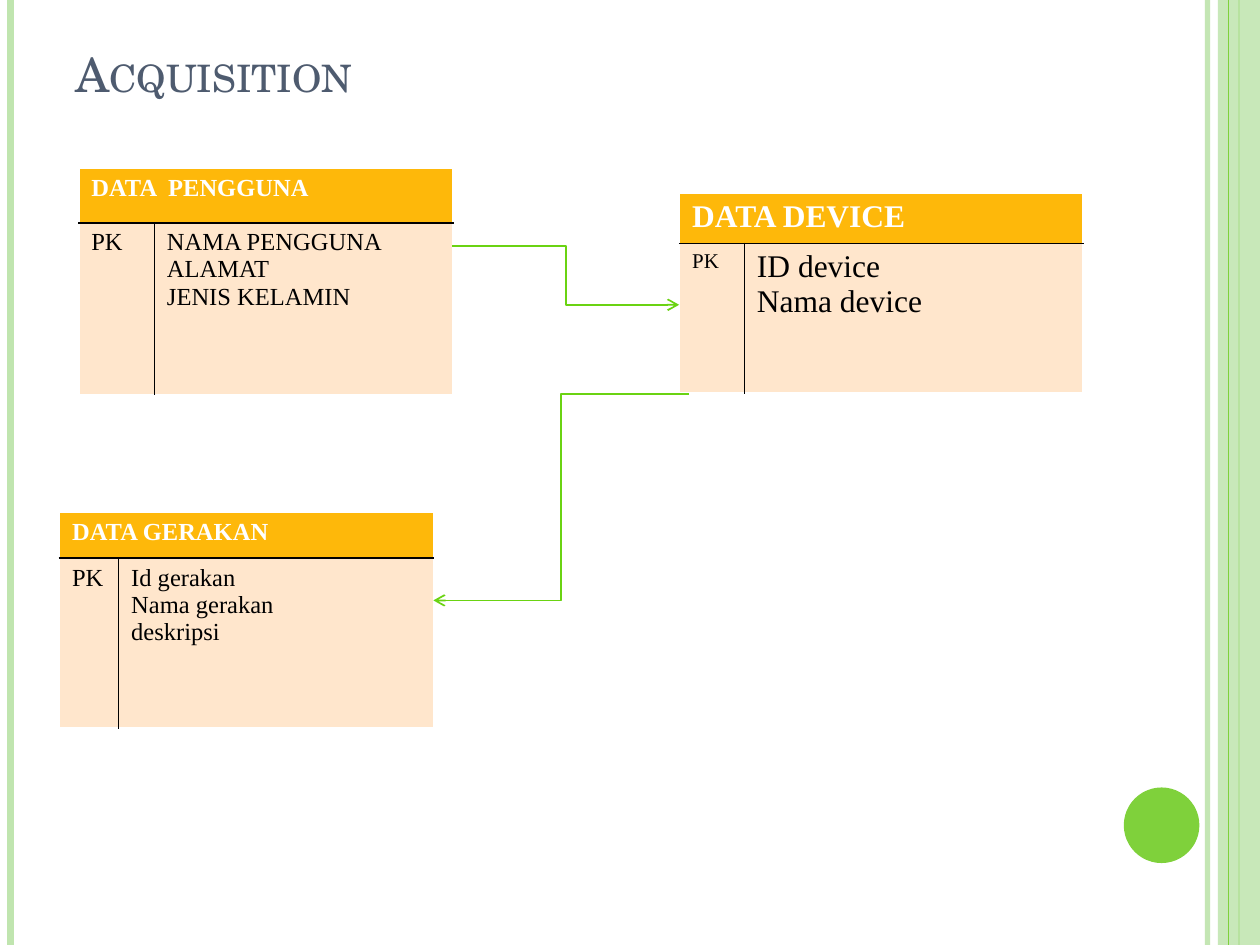
import pptx
import pptx.util
import pptx.dml.color
import pptx.enum.shapes
import pptx.enum.text
import pptx.oxml
import pptx.oxml.ns
import lxml.etree

Pt = pptx.util.Pt
RGBColor = pptx.dml.color.RGBColor
qn = pptx.oxml.ns.qn
CONNECTOR = pptx.enum.shapes.MSO_CONNECTOR
SHAPE = pptx.enum.shapes.MSO_SHAPE

WHITE = RGBColor(0xFF, 0xFF, 0xFF)
BLACK = RGBColor(0, 0, 0)
SLATE = RGBColor(0x4E, 0x5B, 0x6F)
GREEN = RGBColor(0x7F, 0xD1, 0x3B)
PALE_GREEN = RGBColor(0xC0, 0xE5, 0xAF)
ARROW_GREEN = RGBColor(0x6A, 0xD3, 0x12)
AMBER = RGBColor(0xFE, 0xB8, 0x0A)
CREAM = RGBColor(0xFF, 0xE6, 0xCC)
TITLE_FONT = "TeX Gyre Schola"
TABLE_FONT = "Times New Roman"
WIDTH, HEIGHT = 720, 540


def set_opacity(element, percent):
    color = next(element.iter(qn("a:srgbClr")))
    alpha = lxml.etree.SubElement(color, qn("a:alpha"))
    alpha.set("val", str(percent * 1000))


def add_line(slide, kind, start, end, color, width):
    line = slide.shapes.add_connector(kind, *(Pt(v) for v in start + end))
    line.line.color.rgb = color
    line.line.width = Pt(width)
    lxml.etree.SubElement(line._element.spPr, qn("a:effectLst"))
    return line


def add_stripe(slide, x, color, width):
    return add_line(slide, CONNECTOR.STRAIGHT, (x, 0), (x, HEIGHT), color, width)


def add_arrow(slide, start, end):
    arrow = add_line(slide, CONNECTOR.ELBOW, start, end, ARROW_GREEN, 1)
    tail = lxml.etree.SubElement(arrow.line._get_or_add_ln(), qn("a:tailEnd"))
    tail.set("type", "arrow")


def add_block(slide, kind, left, top, width, height, color):
    shape = slide.shapes.add_shape(kind, Pt(left), Pt(top), Pt(width), Pt(height))
    shape.shadow.inherit = False
    shape.fill.solid()
    shape.fill.fore_color.rgb = color
    shape.line.fill.background()
    return shape


def add_run(paragraph, text, font, size, color, bold=False):
    run = paragraph.add_run()
    run.text = text
    run.font.name = font
    run.font.size = Pt(size)
    run.font.color.rgb = color
    run.font.bold = bold
    return run


def add_title(slide, text):
    box = slide.shapes.add_textbox(Pt(36), Pt(21.6), Pt(624), Pt(40.3))
    frame = box.text_frame
    frame.word_wrap = True
    frame.vertical_anchor = pptx.enum.text.MSO_ANCHOR.BOTTOM
    run = add_run(frame.paragraphs[0], text, TITLE_FONT, 27, SLATE)
    run.font._element.set("cap", "small")


def set_borders(cell, black_sides):
    properties = cell._tc.get_or_add_tcPr()
    for side in "LRTB":
        color = BLACK if side in black_sides else WHITE
        border = lxml.etree.SubElement(properties, qn("a:ln" + side), w=str(Pt(1)))
        fill = lxml.etree.SubElement(border, qn("a:solidFill"))
        lxml.etree.SubElement(fill, qn("a:srgbClr"), val=str(color))


def fill_cell(cell, lines, size, color, background, black_sides, bold=False):
    set_borders(cell, black_sides)
    cell.fill.solid()
    cell.fill.fore_color.rgb = background
    frame = cell.text_frame
    for index, text in enumerate(lines):
        paragraph = frame.add_paragraph() if index else frame.paragraphs[0]
        add_run(paragraph, text, TABLE_FONT, size, color, bold)


def add_entity(slide, position, columns, rows, name, fields, size=14, key_size=14):
    frame = slide.shapes.add_table(2, 2, Pt(position[0]), Pt(position[1]),
                                   Pt(sum(columns)), Pt(sum(rows)))
    table = frame.table
    table.first_row = table.horz_banding = False
    for column, width in zip(table.columns, columns):
        column.width = Pt(width)
    for row, height in zip(table.rows, rows):
        row.height = Pt(height)
    table.cell(0, 0).merge(table.cell(0, 1))
    fill_cell(table.cell(0, 0), [name], size, WHITE, AMBER, "B", bold=True)
    fill_cell(table.cell(0, 1), [], size, WHITE, AMBER, "B")
    fill_cell(table.cell(1, 0), ["PK"], key_size, BLACK, CREAM, "TR")
    fill_cell(table.cell(1, 1), fields, size, BLACK, CREAM, "TL")


def main():
    presentation = pptx.Presentation()
    presentation.slide_width, presentation.slide_height = Pt(WIDTH), Pt(HEIGHT)
    slide = presentation.slides.add_slide(presentation.slide_layouts[6])

    # Side decoration
    set_opacity(add_stripe(slide, 690, PALE_GREEN, 3).line._get_or_add_ln(), 93)
    add_stripe(slide, 6, PALE_GREEN, 4.5)
    add_stripe(slide, 708, GREEN, 1.5)
    band = add_block(slide, SHAPE.RECTANGLE, 696, 0, 24, HEIGHT, PALE_GREEN)
    set_opacity(band._element.spPr, 87)
    add_stripe(slide, 702, GREEN, 0.75)
    add_block(slide, SHAPE.OVAL, 642.2, 450, 43.2, 43.2, GREEN)

    add_title(slide, "Acquisition")

    # Entities
    add_entity(slide, (45, 96), (43.2, 170.6), (31.3, 98), "DATA  PENGGUNA",
               ["NAMA PENGGUNA", "ALAMAT", "JENIS KELAMIN"])
    add_entity(slide, (388.3, 110.2), (37.1, 193.4), (23.8, 85.6), "DATA DEVICE",
               ["ID device", "Nama device"], size=18, key_size=12)
    add_entity(slide, (34, 292.6), (33.8, 180), (26.3, 97.2), "DATA GERAKAN",
               ["Id gerakan", "Nama gerakan", "deskripsi"])

    # Relations
    add_arrow(slide, (258.5, 140.4), (388.1, 174.2))
    add_arrow(slide, (393.8, 225), (247.7, 343.1))

    presentation.save("out.pptx")


main()
